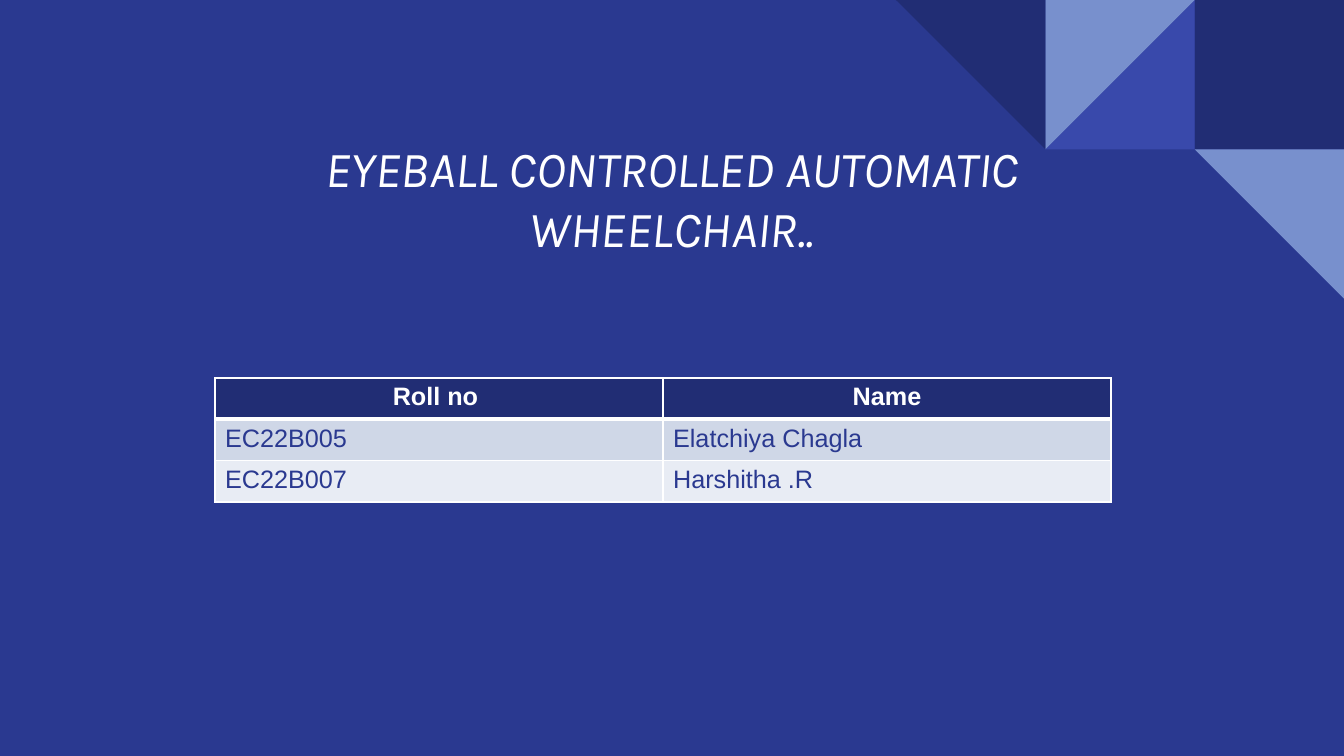
from dataclasses import dataclass
from typing import Any

import pptx
import pptx.dml.color
import pptx.enum.shapes
import pptx.enum.text
import pptx.oxml
import pptx.oxml.ns
import pptx.util

SHAPES = pptx.enum.shapes.MSO_SHAPE
ALIGN = pptx.enum.text.PP_ALIGN


@dataclass(frozen=True)
class Theme:
    background: str = "2A3990"
    dark: str = "212D74"
    bright: str = "3949AB"
    pale: str = "7890CD"
    white: str = "FFFFFF"
    bands: tuple[str, str] = ("CFD7E7", "E8ECF4")
    title_font: str = "Karla"
    table_font: str = "Arial"
    title_size: int = 36
    table_size: int = 18


@dataclass(frozen=True)
class Tile:
    column: int
    row: int
    kind: Any
    color: str
    rotation: int = 0


THEME = Theme()
SLIDE_WIDTH = pptx.util.Inches(13.33)
SLIDE_HEIGHT = pptx.util.Inches(7.5)
GRID_COLUMNS = 9
ROW_HEIGHT = pptx.util.Inches(0.41)
THIN, THICK = 1, 3

TILES = [
    Tile(8, 0, SHAPES.RECTANGLE, THEME.dark),
    Tile(7, 0, SHAPES.RIGHT_TRIANGLE, THEME.bright, 270),
    Tile(7, 0, SHAPES.RIGHT_TRIANGLE, THEME.pale, 90),
    Tile(6, 0, SHAPES.RIGHT_TRIANGLE, THEME.dark, 180),
    Tile(8, 1, SHAPES.RIGHT_TRIANGLE, THEME.pale, 180),
]
TITLE = "EYEBALL CONTROLLED AUTOMATIC WHEELCHAIR.."
STUDENTS = [
    ("Roll no ", "Name"),
    ("EC22B005", "Elatchiya Chagla"),
    ("EC22B007", "Harshitha .R"),
]


def grid(units: float) -> int:
    """Length of a number of grid columns, which are square tiles."""
    return round(SLIDE_WIDTH * units / GRID_COLUMNS)


def rgb(color: str) -> Any:
    return pptx.dml.color.RGBColor.from_string(color)


def set_values(target: Any, values: dict[str, Any]) -> None:
    for name, value in values.items():
        setattr(target, name, value)


def format_text(frame: Any, align: Any, color: str, font: dict[str, Any]) -> None:
    paragraph = frame.paragraphs[0]
    paragraph.alignment = align
    run_font = paragraph.runs[0].font
    set_values(run_font, font)
    run_font.color.rgb = rgb(color)


def draw_tile(slide: Any, tile: Tile) -> None:
    shape = slide.shapes.add_shape(
        tile.kind, grid(tile.column), grid(tile.row), grid(1), grid(1))
    shape.rotation = tile.rotation
    shape.shadow.inherit = False
    shape.fill.solid()
    shape.fill.fore_color.rgb = rgb(tile.color)
    shape.line.fill.background()


def write_title(slide: Any) -> None:
    title = slide.shapes.title
    set_values(title, {
        "left": grid(1.5), "top": grid(0.85), "width": grid(6), "height": grid(0.95)})
    frame = title.text_frame
    frame.text = TITLE
    margin = pptx.util.Inches(0.1)
    set_values(frame, {
        "margin_left": margin, "margin_top": margin,
        "margin_right": margin, "margin_bottom": margin,
        "word_wrap": True,
        "vertical_anchor": pptx.enum.text.MSO_ANCHOR.TOP,
        "auto_size": pptx.enum.text.MSO_AUTO_SIZE.SHAPE_TO_FIT_TEXT,
    })
    format_text(frame, ALIGN.CENTER, THEME.white, {
        "name": THEME.title_font, "size": pptx.util.Pt(THEME.title_size), "italic": True})


def add_borders(cell: Any, top: int, bottom: int) -> None:
    """Give a cell white borders; call before its fill is set."""
    properties = cell._tc.get_or_add_tcPr()
    widths = {"lnL": THIN, "lnR": THIN, "lnT": top, "lnB": bottom}
    for side, width in widths.items():
        properties.append(pptx.oxml.parse_xml(
            f'<a:{side} {pptx.oxml.ns.nsdecls("a")} w="{pptx.util.Pt(width)}">'
            f'<a:solidFill><a:srgbClr val="{THEME.white}"/></a:solidFill></a:{side}>'))


def draw_table(slide: Any) -> None:
    table = slide.shapes.add_table(
        len(STUDENTS), len(STUDENTS[0]), round(SLIDE_WIDTH * 0.16),
        round(SLIDE_HEIGHT * 0.5), grid(6), ROW_HEIGHT * len(STUDENTS)).table
    for row, student in enumerate(STUDENTS):
        header = row == 0
        fill = THEME.dark if header else THEME.bands[(row - 1) % 2]
        for column, text in enumerate(student):
            cell = table.cell(row, column)
            cell.text = text
            add_borders(cell, THICK if row == 1 else THIN, THICK if header else THIN)
            cell.fill.solid()
            cell.fill.fore_color.rgb = rgb(fill)
            format_text(
                cell.text_frame,
                ALIGN.CENTER if header else ALIGN.LEFT,
                THEME.white if header else THEME.background,
                {"name": THEME.table_font, "size": pptx.util.Pt(THEME.table_size),
                 "bold": header})


def main() -> None:
    presentation = pptx.Presentation()
    set_values(presentation, {"slide_width": SLIDE_WIDTH, "slide_height": SLIDE_HEIGHT})
    title_only = presentation.slide_layouts.get_by_name("Title Only")
    slide = presentation.slides.add_slide(title_only)
    slide.background.fill.solid()
    slide.background.fill.fore_color.rgb = rgb(THEME.background)
    for tile in TILES:
        draw_tile(slide, tile)
    draw_table(slide)
    write_title(slide)
    presentation.save("out.pptx")


if __name__ == "__main__":
    main()
